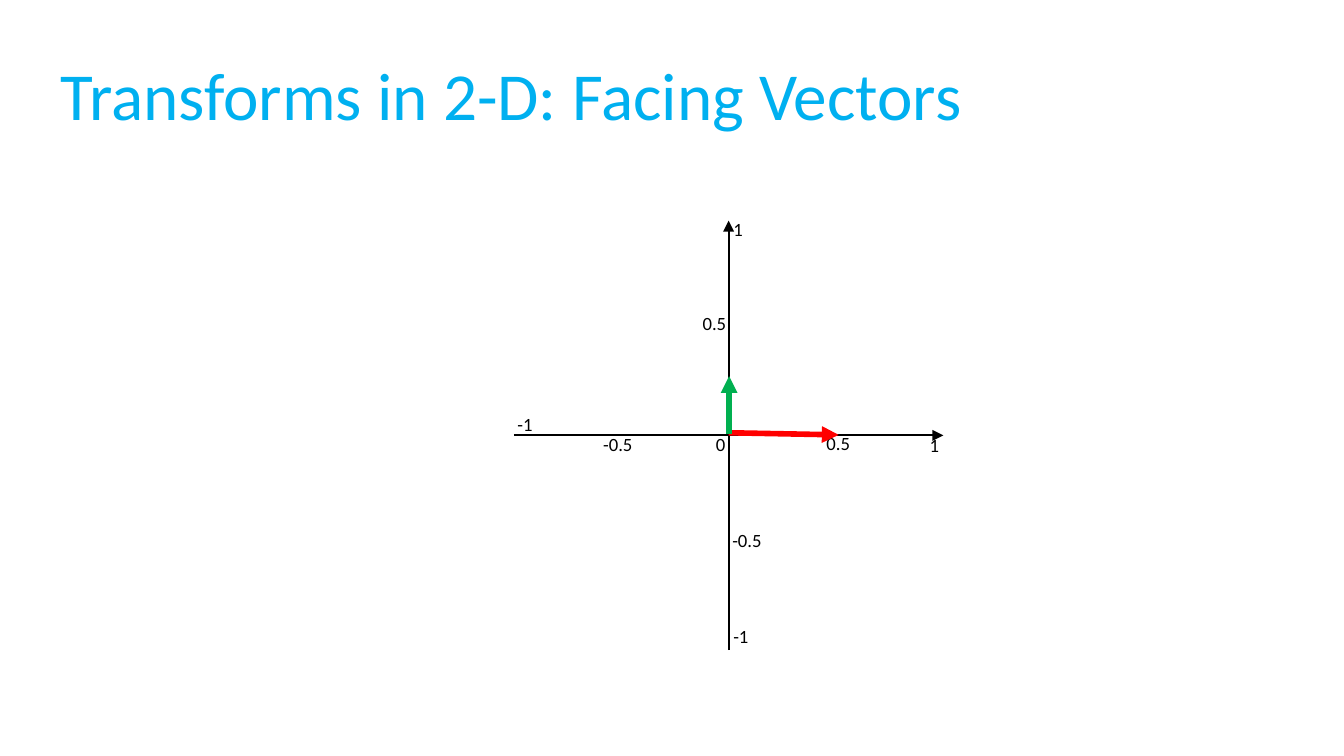
from dataclasses import dataclass

from lxml.etree import SubElement
from pptx import Presentation
from pptx.dml.color import RGBColor as Rgb
from pptx.enum.shapes import MSO_CONNECTOR as Link
from pptx.enum.text import MSO_ANCHOR as Anchor, PP_ALIGN as Align
from pptx.oxml.ns import qn
from pptx.util import Cm, Pt

MID_X, MID_Y, HALF = 13.77, 8.23, 4.06


@dataclass
class Arrow:
    x1: float
    y1: float
    x2: float
    y2: float
    hue: str = "000000"
    wide: float = 1


@dataclass
class Label:
    text: str
    x: float
    y: float
    wide: float = 0.79


ARROWS = [
    Arrow(MID_X - HALF, MID_Y, MID_X + HALF, MID_Y),
    Arrow(MID_X, MID_Y + HALF, MID_X, MID_Y - HALF),
    Arrow(MID_X, 8.18, 15.85, 8.22, "FF0000", 3),
    Arrow(13.78, 8.2, 13.78, 7.11, "00B050", 3),
]
LABELS = [
    Label("0", 13.28, 8.05),
    Label("1", 17.32, 8.08),
    Label("1", 13.61, 3.99),
    Label("-1", 9.53, 7.67),
    Label("-1", 13.61, 11.68),
    Label("0.5", 15.37, 8.03, 1.14),
    Label("0.5", 13.03, 5.77, 1.14),
    Label("-0.5", 13.59, 9.88, 1.14),
    Label("-0.5", 11.15, 8.05, 1.14),
]


def color(code: str) -> Rgb:
    return Rgb.from_string(code)


def write(shape, text: str, *, size: float = 10, hue: str = "000000",
          anchor=Anchor.TOP) -> None:
    frame = shape.text_frame
    frame.word_wrap = True
    frame.vertical_anchor = anchor
    para = frame.paragraphs[0]
    para.alignment = Align.LEFT
    run = para.add_run()
    run.text = text
    run.font.name = "Calibri"
    run.font.size = Pt(size)
    run.font.color.rgb = color(hue)


def draw_arrow(slide, item: Arrow) -> None:
    line = slide.shapes.add_connector(
        Link.STRAIGHT, Cm(item.x1), Cm(item.y1), Cm(item.x2), Cm(item.y2))
    line.line.color.rgb = color(item.hue)
    line.line.width = Pt(item.wide)
    SubElement(line.line._get_or_add_ln(), qn("a:tailEnd"), type="triangle")
    SubElement(line._element.spPr, qn("a:effectLst"))


def draw_label(slide, item: Label) -> None:
    box = slide.shapes.add_textbox(
        Cm(item.x), Cm(item.y), Cm(item.wide), Cm(0.69))
    box.text_frame.margin_right = 0
    write(box, item.text)


def main() -> None:
    deck = Presentation()
    deck.slide_width, deck.slide_height = Cm(25.4), Cm(14.29)
    slide = deck.slides.add_slide(deck.slide_layouts[5])
    title = slide.shapes.title
    title.left, title.top = Cm(0.89), Cm(0.58)
    title.width, title.height = Cm(23.24), Cm(2.39)
    write(title, "Transforms in 2-D: Facing Vectors",
          size=36, hue="00B0F0", anchor=Anchor.MIDDLE)
    axes, facing = ARROWS[:2], ARROWS[2:]
    for item in axes:
        draw_arrow(slide, item)
    for item in LABELS:
        draw_label(slide, item)
    for item in facing:
        draw_arrow(slide, item)
    deck.save("out.pptx")


if __name__ == "__main__":
    main()
